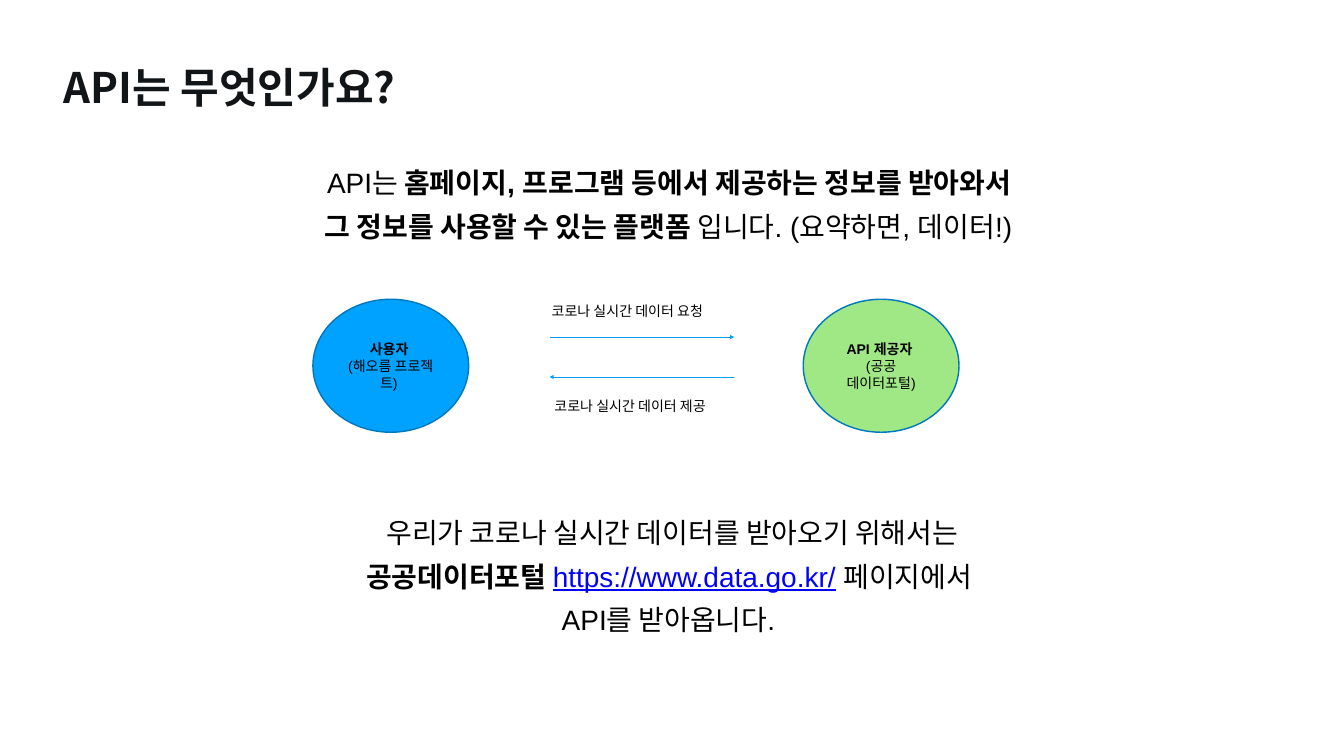
from pptx import Presentation
from pptx.dml.color import RGBColor
from pptx.enum.shapes import MSO_CONNECTOR, MSO_SHAPE
from pptx.enum.text import MSO_ANCHOR, MSO_AUTO_SIZE, PP_ALIGN
from pptx.oxml.ns import qn
from pptx.util import Pt
from lxml.etree import SubElement

# Content: a text is a list of lines, a line is a list of (words, style)
TITLE = "API는 무엇인가요?"
INTRO = [
    [("API는 ", ""), ("홈페이지, 프로그램 등에서 제공하는 정보를 받아와서 ", "bold")],
    [("그 정보를 사용할 수 있는 플랫폼", "bold"), (" 입니다. (요약하면, 데이터!) ", "")],
]
SOURCE = [
    [("우리가 코로나 실시간 데이터를 받아오기 위해서는", "")],
    [("공공데이터포털 ", "bold"), ("https://www.data.go.kr/", "link"), (" 페이지에서 ", "")],
    [("API를 받아옵니다. ", "")],
]
# Parties: left edge, fill, lines
PARTIES = [
    (447, "blue", [[("사용자 ", "bold")], [("(해오름 프로젝트) ", "")]]),
    (1147.5, "green", [[("API 제공자 ", "bold")], [("(공공", "")], [("데이터포털)", "")]]),
]
# Flows: arrow start, arrow end, arrow height, label left, label top, label
FLOWS = [
    (785, 1049, 481.5, 781, 428, "코로나 실시간 데이터 요청"),
    (1049, 785, 538.5, 785, 564, "코로나 실시간 데이터 제공"),
]

THEME = {
    "font": "Arial", "head": "Noto Sans CJK KR",
    "title": 60, "body": 40, "label": 20,
    "dark": "111518", "text": "000000", "link": "0000FF",
    "blue": "00A2FF", "green": "A0E886", "edge": "0078BD", "arrow": "009EF9",
}
PAD = 4


def tone(key):
    return RGBColor.from_string(THEME[key])


def style(font, face, size, color, bold=False):
    font.name, font.size, font.bold = THEME[face], Pt(THEME[size]), bold
    font.color.rgb = tone(color)


def setup(frame, pad, anchor):
    frame.word_wrap = True
    frame.auto_size = MSO_AUTO_SIZE.NONE
    frame.vertical_anchor = anchor
    frame.margin_left = frame.margin_right = Pt(pad[0])
    frame.margin_top = frame.margin_bottom = Pt(pad[1])


def write(frame, lines, size, align=PP_ALIGN.CENTER, space=1.0):
    for i, line in enumerate(lines):
        para = frame.add_paragraph() if i else frame.paragraphs[0]
        para.alignment, para.line_spacing = align, space
        for words, kind in line:
            run = para.add_run()
            run.text = words
            color = "link" if kind == "link" else "text"
            style(run.font, "font", size, color, kind == "bold")
            run.font.underline = kind == "link"


def add_box(slide, x, y, w, h, pad):
    frame = slide.shapes.add_textbox(Pt(x), Pt(y), Pt(w), Pt(h)).text_frame
    setup(frame, pad, MSO_ANCHOR.TOP)
    return frame


def add_party(slide, x, fill, lines):
    oval = slide.shapes.add_shape(MSO_SHAPE.OVAL, Pt(x), Pt(427.5), Pt(222.5), Pt(190))
    oval.shadow.inherit = False
    oval.fill.solid()
    oval.fill.fore_color.rgb = tone(fill)
    oval.line.color.rgb = tone("edge")
    oval.line.width = Pt(2)
    setup(oval.text_frame, (7.2, 3.6), MSO_ANCHOR.MIDDLE)
    write(oval.text_frame, lines, "label")


def add_arrow(slide, start, end, y):
    arrow = slide.shapes.add_connector(
        MSO_CONNECTOR.STRAIGHT, Pt(start), Pt(y), Pt(end), Pt(y))
    arrow.line.color.rgb = tone("arrow")
    arrow.line.width = Pt(0.75)
    props = arrow._element.spPr
    SubElement(props.find(qn("a:ln")), qn("a:tailEnd"), type="triangle")
    SubElement(props, qn("a:effectLst"))


def main():
    deck = Presentation()
    deck.slide_width, deck.slide_height = Pt(1920), Pt(1080)
    slide = deck.slides.add_slide(deck.slide_layouts[5])

    # Title
    title = slide.shapes.title
    title.left, title.top, title.width, title.height = Pt(87), Pt(84), Pt(830), Pt(81)
    setup(title.text_frame, (PAD, PAD), MSO_ANCHOR.MIDDLE)
    title.text_frame.text = TITLE
    para = title.text_frame.paragraphs[0]
    para.alignment = PP_ALIGN.LEFT
    style(para.runs[0].font, "head", "title", "dark", True)

    # Definition above, data source below
    for y, lines in ((218, INTRO), (718, SOURCE)):
        frame = add_box(slide, 101, y, 1719, 65 * len(lines), (PAD, PAD))
        write(frame, lines, "body", space=1.3)

    # Request and reply between the two parties
    for party in PARTIES:
        add_party(slide, *party)
    for start, end, y, x, top, label in FLOWS:
        add_arrow(slide, start, end, y)
        frame = add_box(slide, x, top, 306, 32, (7.2, 3.6))
        write(frame, [[(label, "")]], "label", PP_ALIGN.LEFT)

    deck.save("out.pptx")


if __name__ == "__main__":
    main()
